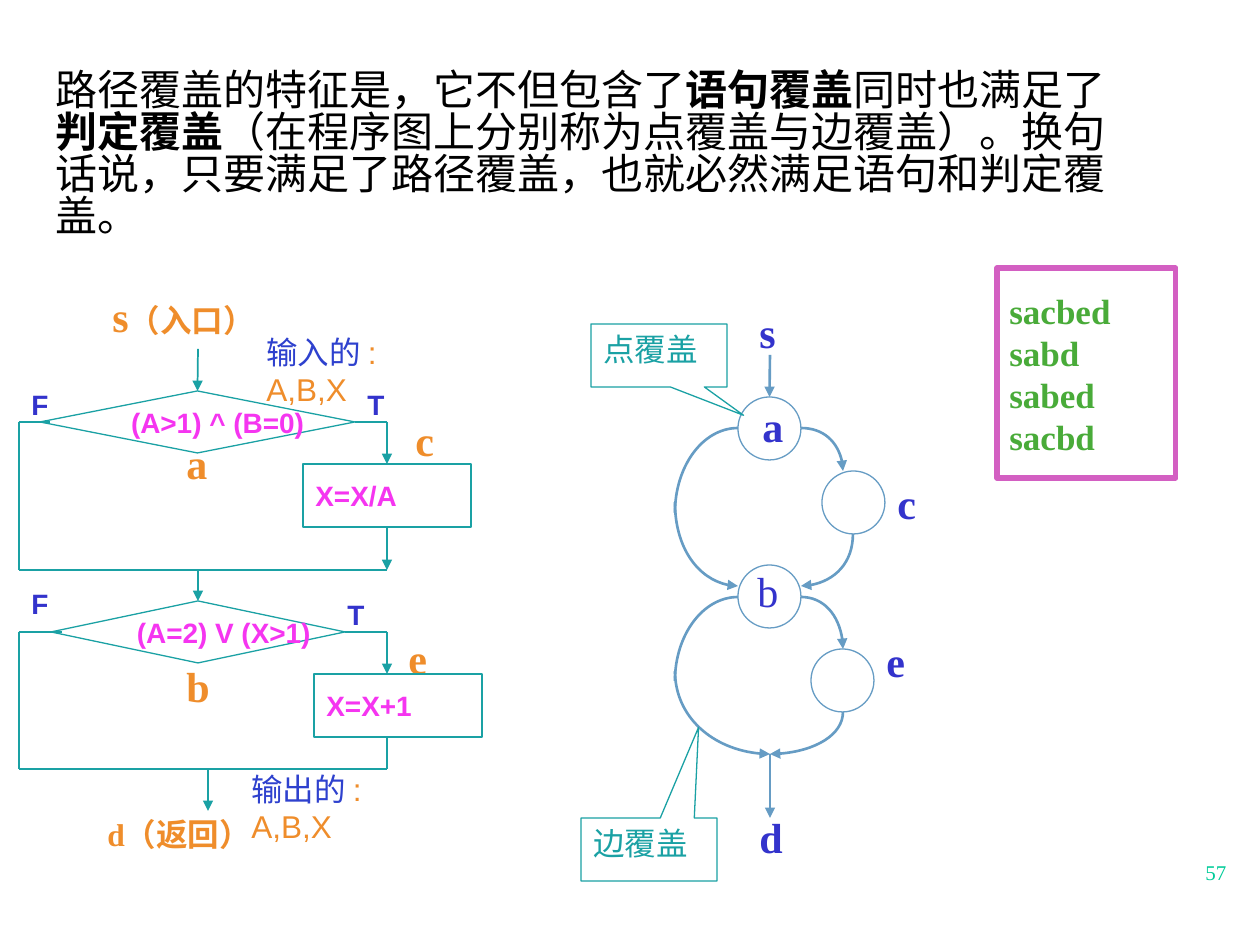
from lxml import etree
from pptx import Presentation, util as u
from pptx.dml.color import RGBColor
from pptx.enum import shapes, text
from pptx.oxml.ns import qn

PX = 914400 / 126
SERIF, SANS, CJK = "Times New Roman", "Arial", "Noto Sans CJK SC"
COLORS = {
    "black": "000000", "white": "FFFFFF", "teal": "1AA1A4", "steel": "669CC4",
    "navy": "3333CC", "blue": "2E41CE", "orange": "EF8D2B", "pink": "F535F0",
    "violet": "D35FC2", "green": "49AB39", "mint": "00CC99",
}
FORMATS = {
    "body": ("black", dict(name=CJK, size=u.Pt(24), bold=False)),
    "strong": ("black", dict(name=CJK, size=u.Pt(24), bold=True)),
    "page": ("mint", dict(name=SERIF, size=u.Pt(12), bold=False)),
    "node": ("navy", dict(name=SERIF, size=u.Pt(24), bold=True)),
    "light node": ("navy", dict(name=SERIF, size=u.Pt(24), bold=False)),
    "step": ("orange", dict(name=SERIF, size=u.Pt(24), bold=True)),
    "small step": ("orange", dict(name=SERIF, size=u.Pt(18), bold=True)),
    "code": ("pink", dict(name=SANS, size=u.Pt(16), bold=True)),
    "branch": ("navy", dict(name=SANS, size=u.Pt(16), bold=True)),
    "io": ("blue", dict(name=CJK, size=u.Pt(18), bold=False)),
    "variables": ("orange", dict(name=SANS, size=u.Pt(18), bold=False)),
    "callout": ("teal", dict(name=SERIF, size=u.Pt(18), bold=False)),
    "route": ("green", dict(name=SERIF, size=u.Pt(20), bold=True)),
}
MIDDLE = text.MSO_ANCHOR.MIDDLE
KINDS = shapes.MSO_SHAPE


def px(*values):
    return [round(v * PX) for v in values]


def rgb(name):
    return RGBColor.from_string(COLORS[name])


class Painter:
    """Draws styled elements on the current slide."""

    def __init__(self, slide):
        self.s = slide

    def fill_text(self, sp, paragraphs, wrap=True, anchor=text.MSO_ANCHOR.TOP, spacing=None):
        tf = sp.text_frame
        tf.word_wrap, tf.vertical_anchor = wrap, anchor
        for i, runs in enumerate(paragraphs):
            p = tf.add_paragraph() if i else tf.paragraphs[0]
            p.alignment = text.PP_ALIGN.LEFT
            if spacing:
                p.line_spacing = spacing
            for content, style in runs:
                r = p.add_run()
                r.text = content
                color, values = FORMATS[style]
                for name, value in values.items():
                    setattr(r.font, name, value)
                r.font.color.rgb = rgb(color)
                ea = etree.SubElement(r.font._element, qn("a:ea"))
                ea.set("typeface", CJK)

    def text(self, box, *runs, grow=True, **options):
        sp = self.s.shapes.add_textbox(*px(*box))
        self.fill_text(sp, [runs], **options)
        if grow:
            sp.text_frame.auto_size = text.MSO_AUTO_SIZE.SHAPE_TO_FIT_TEXT

    def shape(self, kind, box, line, width=0.75, paragraphs=(), adjust=(), **options):
        sp = self.s.shapes.add_shape(kind, *px(*box))
        sp.shadow.inherit = False
        for i, value in enumerate(adjust):
            sp.adjustments[i] = value
        sp.fill.solid()
        sp.fill.fore_color.rgb = rgb("white")
        self.outline(sp, line, width)
        if paragraphs:
            self.fill_text(sp, paragraphs, **options)
        return sp

    def outline(self, sp, color, width, head=False, tail=False):
        sp.line.color.rgb = rgb(color)
        sp.line.width = u.Pt(width)
        ln = sp._element.spPr.find(qn("a:ln"))
        for tag, wanted in (("a:headEnd", head), ("a:tailEnd", tail)):
            if wanted:
                etree.SubElement(ln, qn(tag)).set("type", "triangle")

    def line(self, x1, y1, x2, y2, color="teal", width=1, arrow=False, begin=None, end=None):
        c = self.s.shapes.add_connector(shapes.MSO_CONNECTOR.STRAIGHT, *px(x1, y1, x2, y2))
        self.outline(c, color, width, tail=arrow)
        etree.SubElement(c._element.spPr, qn("a:effectLst"))
        if begin:
            c.begin_connect(*begin)
        if end:
            c.end_connect(*end)

    def arc(self, x1, y1, x2, y2, head=False, tail=False):
        builder = self.s.shapes.build_freeform(x1, y1, scale=PX)
        builder.add_line_segments([(x2, y2)], close=False)
        sp = builder.convert_to_shape()
        sp.shadow.inherit = False
        sp.fill.background()
        self.outline(sp, "steel", 1.5, head, tail)
        segment = next(sp._element.iter(qn("a:lnTo")))
        curve = etree.Element(qn("a:cubicBezTo"))
        bend = 0.55
        points = ((x1 + bend * (x2 - x1), y1), (x2, y2 - bend * (y2 - y1)), (x2, y2))
        for x, y in points:
            pt = etree.SubElement(curve, qn("a:pt"))
            pt.set("x", str(round(x - min(x1, x2))))
            pt.set("y", str(round(y - min(y1, y2))))
        segment.getparent().replace(segment, curve)


def program_graph(d):
    nodes = [d.shape(KINDS.OVAL, (x, y, 63, 63), "steel")
             for x, y in ((738, 397), (822, 471), (738, 565), (811, 649))]
    for ends, head, tail in (
        ((801, 428, 843, 471), False, True), ((801, 586, 853, 534), True, False),
        ((738, 428, 675, 513), False, False), ((738, 586, 675, 502), True, False),
        ((801, 597, 843, 649), False, True), ((770, 754, 843, 712), True, False),
        ((738, 597, 675, 681), False, False), ((770, 754, 675, 671), True, False),
    ):
        d.arc(*ends, head, tail)
    d.line(770, 754, 770, 818, "steel", 1.5, arrow=True)
    d.line(770, 355, 770, 397, "steel", 1.5, arrow=True, end=(nodes[0], 0))
    for label, x, y in (("s", 747, 300), ("a", 750, 394), ("b", 745, 559),
                        ("c", 885, 471), ("d", 747, 805), ("e", 874, 629)):
        d.text((x, y, 49, 63), (label, "light node" if label == "b" else "node"))
    for label, x, y, tip in (("点覆盖", 591, 324, (0.622, 0.951)),
                             ("边覆盖", 581, 818, (0.365, -1.938))):
        d.shape(KINDS.RECTANGULAR_CALLOUT, (x, y, 136, 63), "teal",
                paragraphs=[[(label, "callout")]], adjust=tip)


def flowchart(d):
    for label, x, y, w in (("b", 174, 654, 49), ("a", 174, 431, 47),
                           ("c", 403, 408, 49), ("e", 396, 626, 44)):
        d.text((x, y, w, 63), (label, "step"), wrap=False)
    d.text((100, 284, 193, 64), ("s", "step"), ("（入口）", "small step"))
    test_a, task_a, test_b, task_b = [
        d.shape(kind, box, "teal", paragraphs=[[(code, "code")]], wrap=False, anchor=MIDDLE)
        for kind, box, code in (
            (KINDS.FLOWCHART_DECISION, (40, 391, 315, 62), "(A>1) ^ (B=0)"),
            (KINDS.RECTANGLE, (303, 464, 168, 63), "X=X/A"),
            (KINDS.FLOWCHART_DECISION, (51, 601, 294, 62), "(A=2) V (X>1)"),
            (KINDS.RECTANGLE, (314, 674, 168, 63), "X=X+1"))]
    d.line(198, 349, 198, 391, arrow=True, end=(test_a, 0))
    d.line(198, 570, 198, 601, arrow=True, end=(test_b, 0))
    for y, inner, right, bottom, test, target in (
            (422, 50, 355, 570, test_a, (task_a, 0)), (632, 62, 345, 769, test_b, None)):
        d.line(19, y, inner, y)
        d.line(19, y, 19, bottom)
        d.line(19, bottom, 387, bottom)
        d.line(387, y, 387, y + 42, arrow=True, end=target)
        d.line(right, y, 387, y, begin=(test, 3))
    d.line(387, 527, 387, 570, arrow=True, begin=(task_a, 2))
    d.line(387, 737, 387, 769)
    d.line(208, 769, 208, 811, arrow=True)
    for label, x, y in (("T", 355, 381), ("F", 19, 381), ("T", 335, 591), ("F", 19, 580)):
        d.text((x, y, 43, 47), (label, "branch"), wrap=False)
    d.text((95, 809, 227, 50), ("d（返回）", "small step"))
    for label, x, y, w in (("输出的", 239, 781, 213), ("输入的", 254, 344, 222)):
        d.text((x, y, w, 53), (label, "io"), (" : A,B,X", "variables"),
               grow=False, wrap=False, anchor=MIDDLE)


def main():
    prs = Presentation()
    prs.slide_width, prs.slide_height = px(1260, 945)
    d = Painter(prs.slides.add_slide(prs.slide_layouts[6]))
    d.text((1193, 853, 47, 38), ("57", "page"), wrap=False)
    d.text((43, 66, 1109, 217), ("路径覆盖的特征是，它不但包含了", "body"),
           ("语句覆盖", "strong"), ("同时也满足了", "body"), ("判定覆盖", "strong"),
           ("（在程序图上分别称为点覆盖与边覆盖）。换句话说，只要满足了路径覆盖，"
            "也就必然满足语句和判定覆盖。", "body"), spacing=0.83)
    program_graph(d)
    routes = [[(route, "route")] for route in ("sacbed", "sabd", "sabed", "sacbd")]
    d.shape(KINDS.RECTANGLE, (997, 268, 179, 210), "violet", 3, routes,
            wrap=False, anchor=MIDDLE)
    flowchart(d)
    prs.save("out.pptx")


if __name__ == "__main__":
    main()
